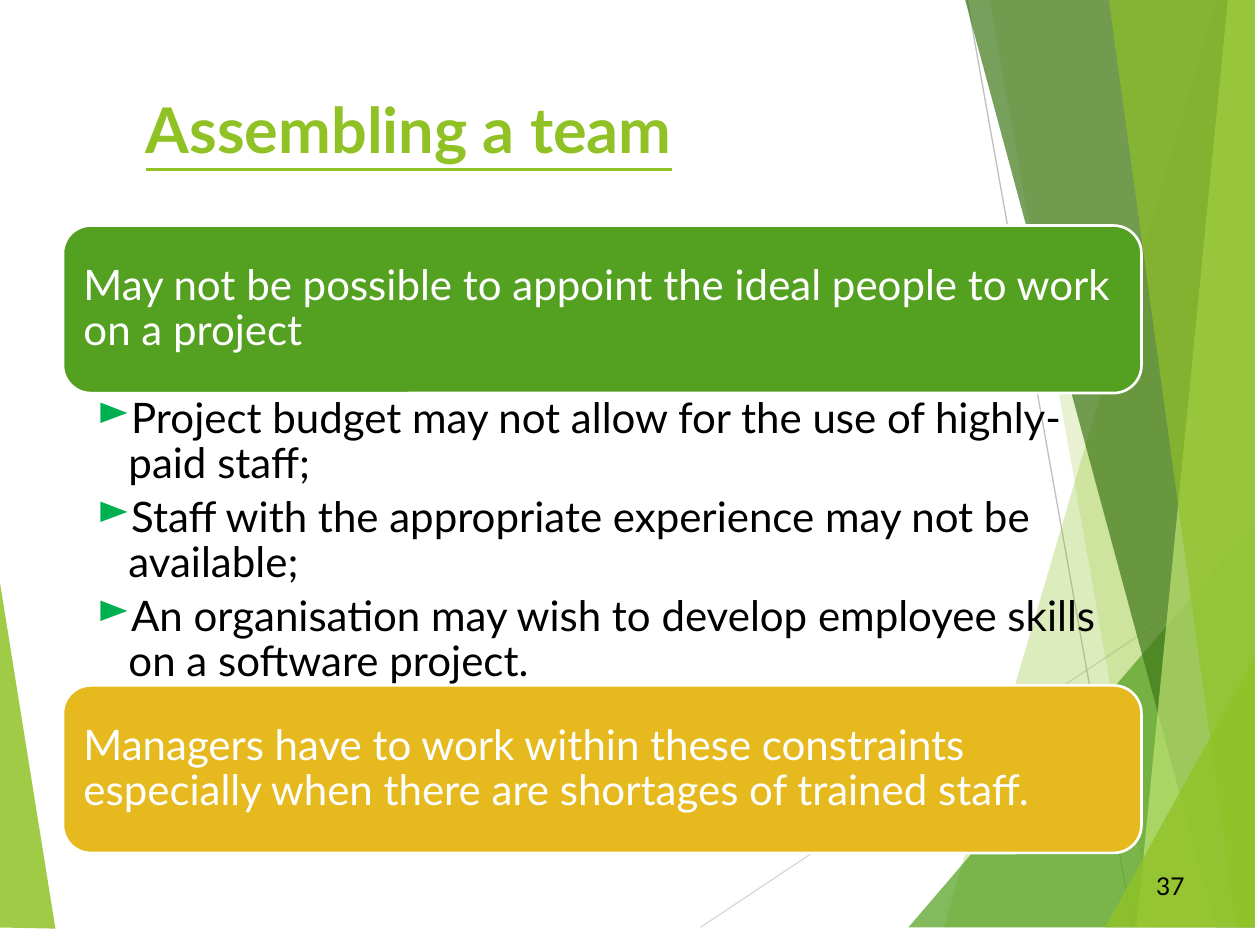
from lxml import etree
from pptx import Presentation
from pptx.dml.color import RGBColor
from pptx.enum.shapes import MSO_CONNECTOR, MSO_SHAPE
from pptx.enum.text import MSO_ANCHOR, PP_ALIGN
from pptx.oxml.ns import qn
from pptx.util import Inches, Pt

STRAIGHT = MSO_CONNECTOR.STRAIGHT
ROUNDED = MSO_SHAPE.ROUNDED_RECTANGLE
TOP, MIDDLE = MSO_ANCHOR.TOP, MSO_ANCHOR.MIDDLE
LEFT, RIGHT = PP_ALIGN.LEFT, PP_ALIGN.RIGHT

LIME = RGBColor(0x90, 0xC2, 0x26)
GREEN = RGBColor(0x54, 0xA0, 0x21)
DARK_GREEN = RGBColor(0x3F, 0x78, 0x19)
PALE_LIME = RGBColor(0xC0, 0xE4, 0x74)
GOLD = RGBColor(0xE6, 0xB9, 0x1E)
BULLET_GREEN = RGBColor(0x00, 0xB0, 0x50)
LIGHT_GRAY = RGBColor(0xD9, 0xD9, 0xD9)
GRAY = RGBColor(0xBF, 0xBF, 0xBF)
WHITE = RGBColor(0xFF, 0xFF, 0xFF)
BLACK = RGBColor(0x00, 0x00, 0x00)

FONT = "Lato"
TITLE_FORMAT = {"size": Pt(36), "bold": True, "underline": True}
BODY_FORMAT = {"size": Pt(24)}
NUMBER_FORMAT = {"size": Pt(14)}

FACET_TOP, FACET_BOTTOM, FACET_RIGHT = -0.15, 7.36, 9.96
LEFT_FACET = ([(-0.06, 4.25), (0.44, 7.37), (-0.06, 7.36)], LIME, 85)
RAYS = [
    ((5.56, FACET_BOTTOM), (FACET_RIGHT, 4.43), LIGHT_GRAY),
    ((7.65, FACET_TOP), (8.99, FACET_BOTTOM), GRAY),
]
# Right-hand facets: x (or start height) at the top, x at the bottom, colour, opacity %
RIGHT_FACETS = [
    ((9.70, FACET_TOP), 7.49, LIME, 30),
    ((7.83, FACET_TOP), 9.15, LIME, 20),
    ((FACET_RIGHT, 4.15), 7.21, GREEN, 72),
    ((7.62, FACET_TOP), 9.65, DARK_GREEN, 70),
    ((9.76, FACET_TOP), 9.02, PALE_LIME, 70),
    ((8.78, FACET_TOP), 9.81, LIME, 65),
    ((FACET_RIGHT, 5.21), 8.77, LIME, 80),
]

BODY_LEFT, BODY_TOP, BODY_WIDTH = 0.5, 1.79, 8.56
CARD_HEIGHT, LIST_HEIGHT = 1.33, 2.32
CONSTRAINT = "May not be possible to appoint the ideal people to work on a project"
REASONS = [
    "Project budget may not allow for the use of highly-paid staff;",
    "Staff with the appropriate experience may not be available;",
    "An organisation may wish to develop employee skills on a software project.",
]
CONCLUSION = ("Managers have to work within these constraints especially "
              "when there are shortages of trained staff.")


def add_facet(slide, points, color, opacity):
    """Draw a closed, translucent polygon."""
    corners = [(Inches(x), Inches(y)) for x, y in points]
    builder = slide.shapes.build_freeform(*corners[0])
    builder.add_line_segments(corners[1:], close=True)
    facet = builder.convert_to_shape()
    facet.shadow.inherit = False
    facet.line.fill.background()
    facet.fill.solid()
    facet.fill.fore_color.rgb = color
    fill_color = facet.fill._xPr.find(qn("a:solidFill")).find(qn("a:srgbClr"))
    etree.SubElement(fill_color, qn("a:alpha"), val=str(opacity * 1000))


def add_ray(slide, start, end, color):
    ray = slide.shapes.add_connector(
        STRAIGHT, *[Inches(value) for value in (*start, *end)])
    ray.line.color.rgb = color
    ray.line.width = Pt(0.75)
    etree.SubElement(ray._element.spPr, qn("a:effectLst"))


def set_frame(frame, anchor, margins):
    """Wrap the text and set the left, top, right and bottom insets."""
    frame.word_wrap = True
    frame.vertical_anchor = anchor
    for side, margin in zip(("left", "top", "right", "bottom"), margins):
        setattr(frame, f"margin_{side}", Inches(margin))


def write(paragraph, text, color, font_format, align=LEFT):
    paragraph.alignment = align
    run = paragraph.add_run()
    run.text = text
    for name, value in {"name": FONT, **font_format}.items():
        setattr(run.font, name, value)
    run.font.color.rgb = color


def add_label(slide, box, text, color, font_format, anchor=TOP, align=LEFT):
    frame = slide.shapes.add_textbox(*map(Inches, box)).text_frame
    set_frame(frame, anchor, (0.1, 0.05, 0.1, 0.05))
    write(frame.paragraphs[0], text, color, font_format, align)


def add_card(slide, top, text, color):
    card = slide.shapes.add_shape(
        ROUNDED, Inches(BODY_LEFT), Inches(top), Inches(BODY_WIDTH), Inches(CARD_HEIGHT))
    card.shadow.inherit = False
    card.fill.solid()
    card.fill.fore_color.rgb = color
    card.line.color.rgb = WHITE
    card.line.width = Pt(1.5)
    set_frame(card.text_frame, MIDDLE, (0.1, 0.1, 0.1, 0.1))
    paragraph = card.text_frame.paragraphs[0]
    paragraph.line_spacing = 0.9
    write(paragraph, text, WHITE, BODY_FORMAT)


def add_bullet(paragraph):
    properties = paragraph._p.get_or_add_pPr()
    properties.set("marL", str(Inches(0.25)))
    properties.set("indent", str(-Inches(0.25)))
    bullet_color = etree.SubElement(properties, qn("a:buClr"))
    etree.SubElement(bullet_color, qn("a:srgbClr"), val=str(BULLET_GREEN))
    etree.SubElement(properties, qn("a:buChar"), char="►")


def add_bullet_list(slide, top, items):
    frame = slide.shapes.add_textbox(
        Inches(BODY_LEFT), Inches(top), Inches(BODY_WIDTH), Inches(LIST_HEIGHT)).text_frame
    set_frame(frame, TOP, (0.27, 0.03, 0.19, 0.03))
    for index, item in enumerate(items):
        paragraph = frame.add_paragraph() if index else frame.paragraphs[0]
        paragraph.level = 1
        paragraph.line_spacing = 0.9
        paragraph.space_after = Pt(4.8)
        add_bullet(paragraph)
        write(paragraph, item, BLACK, BODY_FORMAT)


def add_backdrop(slide):
    add_facet(slide, *LEFT_FACET)
    for ray in RAYS:
        add_ray(slide, *ray)
    for start, bottom_x, color, opacity in RIGHT_FACETS:
        points = [start, (bottom_x, FACET_BOTTOM), (FACET_RIGHT, FACET_BOTTOM)]
        if start[0] < FACET_RIGHT:
            points.append((FACET_RIGHT, FACET_TOP))
        add_facet(slide, points, color, opacity)


def main():
    deck = Presentation()
    deck.slide_width, deck.slide_height = Inches(10), Inches(7.5)
    slide = deck.slides.add_slide(deck.slide_layouts[6])

    add_backdrop(slide)
    add_label(slide, (1.06, 0.67, 8.36, 1.2), "Assembling a team", LIME, TITLE_FORMAT)
    add_label(slide, (8.94, 6.83, 0.56, 0.4), "37", BLACK, NUMBER_FORMAT, MIDDLE, RIGHT)

    list_top = BODY_TOP + CARD_HEIGHT
    add_card(slide, BODY_TOP, CONSTRAINT, GREEN)
    add_bullet_list(slide, list_top, REASONS)
    add_card(slide, list_top + LIST_HEIGHT, CONCLUSION, GOLD)

    deck.save("out.pptx")


if __name__ == "__main__":
    main()
